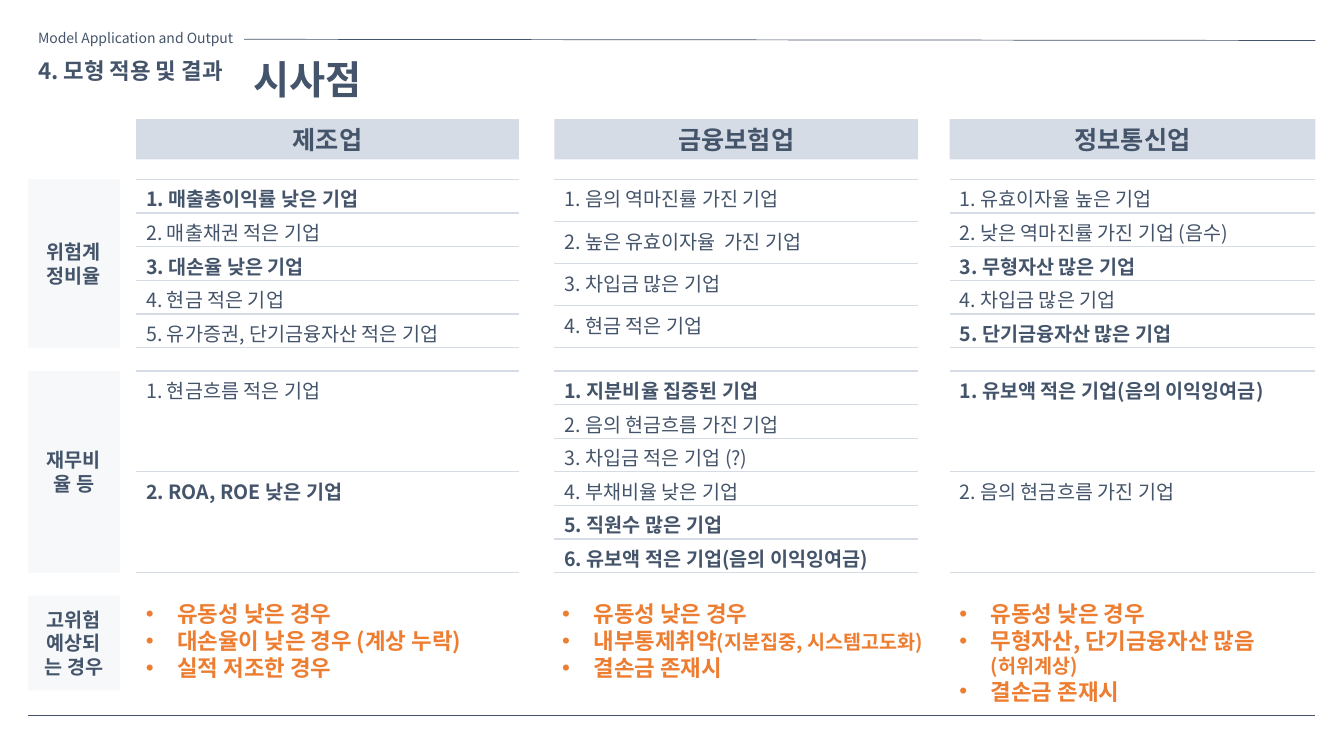
from lxml.etree import SubElement
from pptx import Presentation
from pptx.dml.color import RGBColor
from pptx.enum.shapes import MSO_CONNECTOR, MSO_SHAPE
from pptx.enum.text import MSO_ANCHOR, PP_ALIGN
from pptx.oxml.ns import qn
from pptx.util import Cm, Pt

FONT = "Noto Sans CJK KR"
NAVY, GREY, ORANGE = "44546A", "D6DCE5", "ED7D31"
LEFT, RIGHT, LABEL_WIDTH = 0.71, 33.15, 2.31
HEADER_TOP, HEADER_HEIGHT = 3.0, 1.02

TITLES = [
    ("Model Application and Output", 10, False, (0.71, 0.63, 5.44, 0.68)),
    ("시사점", 28, True, (6.15, 1.27, 12.52, 1.45)),
    ("4. 모형 적용 및 결과", 16, True, (0.71, 1.32, 5.44, 0.94)),
]
RULES = [(6.15, 0.99, 1.02), (LEFT, 18.03, 18.03)]
BANDS = [("위험계정비율", 4.52, 4.24), ("재무비율 등", 9.35, 5.08), ("고위험 예상되는 경우", 15.01, 2.39)]
INDUSTRIES = [
    {
        "name": "제조업", "left": 3.43, "width": 9.65, "notes_left": 3.43, "notes_width": 9.65,
        "tables": [
            (["매출총이익률 낮은 기업", "매출채권 적은 기업", "대손율 낮은 기업", "현금 적은 기업",
              "유가증권, 단기금융자산 적은 기업"], {1, 3}),
            (["현금흐름 적은 기업", "ROA, ROE 낮은 기업"], {2}),
        ],
        "notes": [("유동성 낮은 경우", ""), ("대손율이 낮은 경우 (계상 누락)", ""), ("실적 저조한 경우", "")],
    },
    {
        "name": "금융보험업", "left": 13.97, "width": 9.17, "notes_left": 13.92, "notes_width": 9.65,
        "tables": [
            (["음의 역마진률 가진 기업", "높은 유효이자율  가진 기업", "차입금 많은 기업", "현금 적은 기업"], set()),
            (["지분비율 집중된 기업", "음의 현금흐름 가진 기업", "차입금 적은 기업 (?)", "부채비율 낮은 기업",
              "직원수 많은 기업", "유보액 적은 기업(음의 이익잉여금)"], {1, 5, 6}),
        ],
        "notes": [("유동성 낮은 경우", ""), ("내부통제취약", "(지분집중, 시스템고도화)"), ("결손금 존재시", "")],
    },
    {
        "name": "정보통신업", "left": 23.93, "width": 9.22, "notes_left": 23.93, "notes_width": 9.93,
        "tables": [
            (["유효이자율 높은 기업", "낮은 역마진률 가진 기업 (음수)", "무형자산 많은 기업", "차입금 많은 기업",
              "단기금융자산 많은 기업"], {3, 5}),
            (["유보액 적은 기업(음의 이익잉여금)", "음의 현금흐름 가진 기업"], {1}),
        ],
        "notes": [("유동성 낮은 경우", ""), ("무형자산, 단기금융자산 많음", "(허위계상)"), ("결손금 존재시", "")],
    },
]


def paint(color_format, color):
    color_format.rgb = RGBColor.from_string(color)


def style(paragraph, size, bold, color=NAVY):
    font = paragraph.font
    font.name, font.size, font.bold = FONT, Pt(size), bold
    paint(font.color, color)
    properties = paragraph._p.pPr.find(qn("a:defRPr"))
    SubElement(properties, qn("a:ea")).set("typeface", FONT)


def add_text(slide, text, size, bold, box):
    frame = slide.shapes.add_textbox(*map(Cm, box)).text_frame
    frame.word_wrap = True
    frame.text = text
    style(frame.paragraphs[0], size, bold)


def add_rule(slide, start, top, end_top):
    line = slide.shapes.add_connector(MSO_CONNECTOR.STRAIGHT, Cm(start), Cm(top), Cm(RIGHT), Cm(end_top))
    line.line.width = Pt(0.5)
    paint(line.line.color, NAVY)
    SubElement(line._element.spPr, qn("a:effectLst"))


def add_block(slide, text, size, box, opacity=100):
    shape = slide.shapes.add_shape(MSO_SHAPE.RECTANGLE, *map(Cm, box))
    shape.shadow.inherit = False
    shape.line.fill.background()
    shape.fill.solid()
    paint(shape.fill.fore_color, GREY)
    if opacity < 100:
        color = shape._element.spPr.find(qn("a:solidFill"))[0]
        SubElement(color, qn("a:alpha")).set("val", str(opacity * 1000))
    frame = shape.text_frame
    frame.word_wrap = True
    frame.vertical_anchor = MSO_ANCHOR.MIDDLE
    frame.text = text
    frame.paragraphs[0].alignment = PP_ALIGN.CENTER
    style(frame.paragraphs[0], size, True)


def set_borders(cell):
    properties = cell._tc.get_or_add_tcPr()
    for side in ("lnL", "lnR"):
        SubElement(SubElement(properties, qn(f"a:{side}")), qn("a:noFill"))
    for side in ("lnT", "lnB"):
        border = SubElement(properties, qn(f"a:{side}"), w=str(Pt(1)))
        SubElement(SubElement(border, qn("a:solidFill")), qn("a:srgbClr")).set("val", GREY)


def add_list_table(slide, items, bold_numbers, box):
    table = slide.shapes.add_table(len(items), 1, *map(Cm, box)).table
    table.first_row = table.horz_banding = False
    for number, item in enumerate(items, 1):
        table.rows[number - 1].height = Cm(box[3] / len(items))
        cell = table.cell(number - 1, 0)
        set_borders(cell)
        cell.fill.background()
        cell.margin_top, cell.margin_bottom = Cm(0.12), Cm(0)
        cell.text = f"{number}. {item}"
        style(cell.text_frame.paragraphs[0], 14, number in bold_numbers)


def add_notes(slide, notes, box):
    frame = slide.shapes.add_textbox(*map(Cm, box)).text_frame
    frame.word_wrap = True
    for index, (text, detail) in enumerate(notes):
        paragraph = frame.add_paragraph() if index else frame.paragraphs[0]
        paragraph.add_run().text = text
        if detail:
            run = paragraph.add_run()
            run.text = detail
            run.font.size = Pt(14)
        properties = paragraph._p.get_or_add_pPr()
        properties.set("marL", str(Cm(0.79)))
        properties.set("indent", str(-Cm(0.79)))
        SubElement(properties, qn("a:buFont")).set("typeface", "Arial")
        SubElement(properties, qn("a:buChar")).set("char", "•")
        style(paragraph, 16, True, ORANGE)


def main():
    """Build the slide of implications by industry."""
    presentation = Presentation()
    presentation.slide_width, presentation.slide_height = Cm(33.87), Cm(19.05)
    slide = presentation.slides.add_slide(presentation.slide_layouts[6])
    for title in TITLES:
        add_text(slide, *title)
    for rule in RULES:
        add_rule(slide, *rule)
    for label, top, height in BANDS:
        add_block(slide, label, 14, (LEFT, top, LABEL_WIDTH, height), opacity=20)
    for industry in INDUSTRIES:
        left, width = industry["left"], industry["width"]
        add_block(slide, industry["name"], 18, (left, HEADER_TOP, width, HEADER_HEIGHT))
        for (items, bold_numbers), (_, top, height) in zip(industry["tables"], BANDS):
            add_list_table(slide, items, bold_numbers, (left, top, width, height))
        _, top, height = BANDS[-1]
        add_notes(slide, industry["notes"], (industry["notes_left"], top, industry["notes_width"], height))
    presentation.save("out.pptx")


if __name__ == "__main__":
    main()
